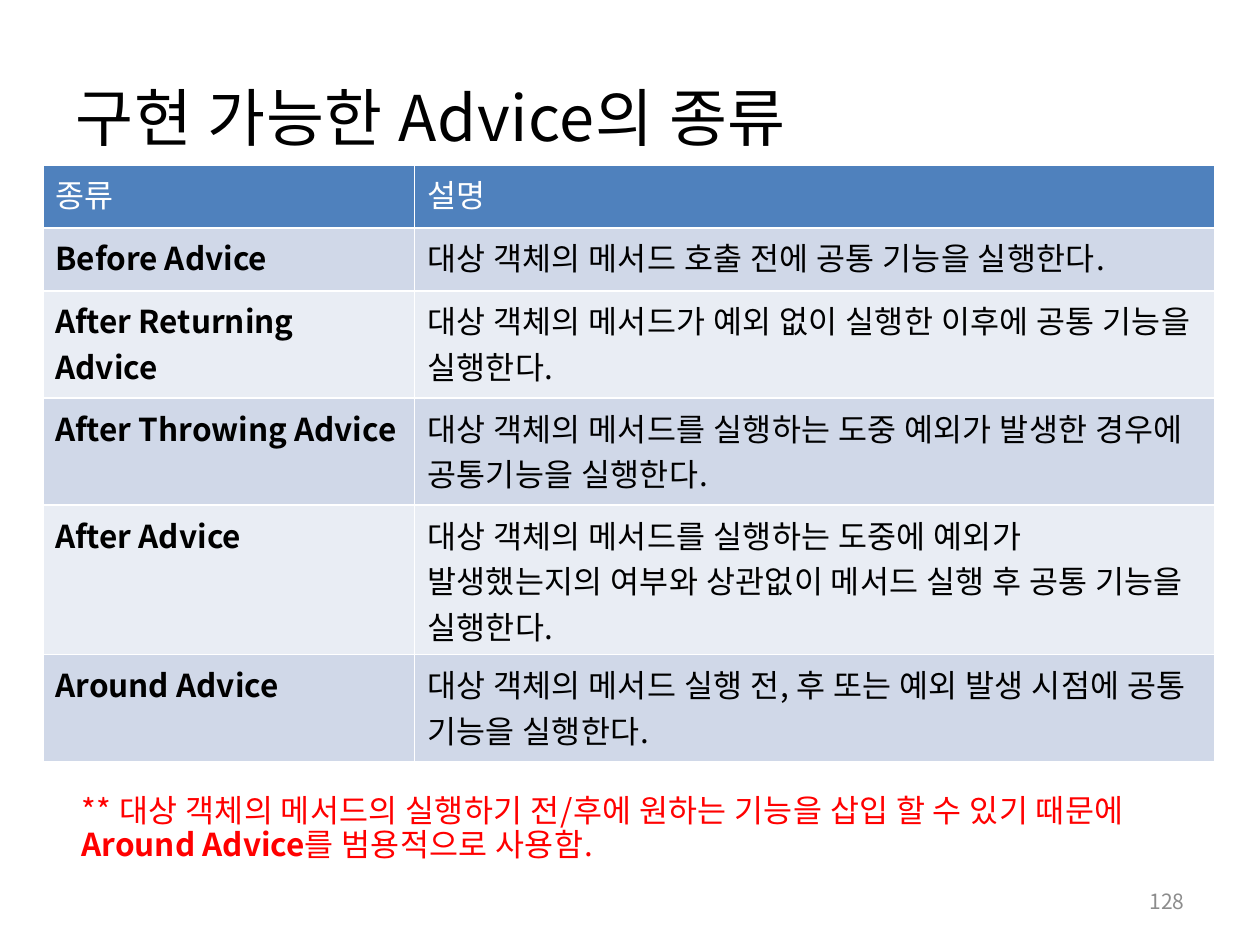
from pptx import Presentation
from pptx.dml.color import RGBColor
from pptx.enum import text
from pptx.oxml.ns import qn
from pptx.util import Inches, Pt
from lxml import etree

FONT = "Noto Sans CJK KR"
BLACK = RGBColor(0x00, 0x00, 0x00)
WHITE = RGBColor(0xFF, 0xFF, 0xFF)
RED = RGBColor(0xFF, 0x00, 0x00)
GRAY = RGBColor(0x8C, 0x8C, 0x8C)
HEADER_BLUE = RGBColor(0x4F, 0x81, 0xBD)
BANDS = (RGBColor(0xD0, 0xD8, 0xE8), RGBColor(0xE9, 0xED, 0xF4))

HEADERS = ("종류", "설명")
ADVICES = (
    ("Before Advice", "대상 객체의 메서드 호출 전에 공통 기능을 실행한다."),
    ("After Returning Advice",
     "대상 객체의 메서드가 예외 없이 실행한 이후에 공통 기능을 실행한다."),
    ("After Throwing Advice",
     "대상 객체의 메서드를 실행하는 도중 예외가 발생한 경우에 공통기능을 실행한다."),
    ("After Advice",
     "대상 객체의 메서드를 실행하는 도중에 예외가 발생했는지의 여부와 상관없이 "
     "메서드 실행 후 공통 기능을 실행한다."),
    ("Around Advice",
     "대상 객체의 메서드 실행 전, 후 또는 예외 발생 시점에 공통 기능을 실행한다."),
)
NOTE_RUNS = (
    ("** 대상 객체의 메서드의 실행하기 전/후에 원하는 기능을 삽입 할 수 있기 때문에 ", False),
    ("Around Advice", True),
    ("를 범용적으로 사용함.", False),
)


def add_run(paragraph, words, size, color, bold=False, tracking=0):
    run = paragraph.add_run()
    run.text = words
    run.font.size = Pt(size)
    run.font.bold = bold
    run.font.color.rgb = color
    run.font.name = FONT
    properties = run.font._element
    properties.set("spc", str(tracking))
    east_asian = etree.Element(qn("a:ea"), typeface=FONT)
    properties.find(qn("a:latin")).addnext(east_asian)


def add_title(slide, left, top, width, height):
    title = slide.shapes.title
    title.left, title.top, title.width, title.height = left, top, width, height
    title.text_frame.vertical_anchor = text.MSO_ANCHOR.MIDDLE
    paragraph = title.text_frame.paragraphs[0]
    paragraph.alignment = text.PP_ALIGN.LEFT
    add_run(paragraph, "구현 가능한 Advice의 종류", 36, BLACK, tracking=40)


def add_advice_table(slide, left, top, width, height):
    rows = (HEADERS,) + ADVICES
    table = slide.shapes.add_table(len(rows), 2, left, top, width, height).table
    table.columns[0].width = Inches(2.95)
    table.columns[1].width = width - Inches(2.95)
    for index, row in enumerate(rows):
        is_header = index == 0
        table.rows[index].height = Inches(0.5 if index < 2 else 0.85)
        for column, words in enumerate(row):
            cell = table.cell(index, column)
            cell.fill.solid()
            cell.fill.fore_color.rgb = HEADER_BLUE if is_header else BANDS[(index - 1) % 2]
            is_description = column == 1 and not is_header
            if is_description:
                cell.margin_right = Inches(0.13)
            add_run(cell.text_frame.paragraphs[0], words, 18,
                    WHITE if is_header else BLACK,
                    bold=column == 0 and not is_header,
                    tracking=24 if is_description else 0)


def add_text_box(slide, left, top, width, height):
    frame = slide.shapes.add_textbox(left, top, width, height).text_frame
    frame.word_wrap = True
    return frame


def add_note(slide, left, top, width, height):
    paragraph = add_text_box(slide, left, top, width, height).paragraphs[0]
    paragraph.line_spacing = 0.9
    for words, bold in NOTE_RUNS:
        add_run(paragraph, words, 18, RED, bold, tracking=0 if bold else 24)


def add_page_number(slide, left, top, width, height):
    frame = add_text_box(slide, left, top, width, height)
    frame.vertical_anchor = text.MSO_ANCHOR.MIDDLE
    frame.paragraphs[0].alignment = text.PP_ALIGN.RIGHT
    add_run(frame.paragraphs[0], "128", 12, GRAY)


def main():
    presentation = Presentation()
    presentation.slide_width = Inches(10)
    presentation.slide_height = Inches(7.5)
    slide = presentation.slides.add_slide(presentation.slide_layouts[5])
    add_title(slide, Inches(0.5), Inches(0.3), Inches(9), Inches(1.25))
    add_advice_table(slide, Inches(0.34), Inches(1.31), Inches(9.3), Inches(4.4))
    add_note(slide, Inches(0.55), Inches(6.26), Inches(8.5), Inches(0.44))
    add_page_number(slide, Inches(7.17), Inches(6.95), Inches(2.33), Inches(0.4))
    presentation.save("out.pptx")


if __name__ == "__main__":
    main()
